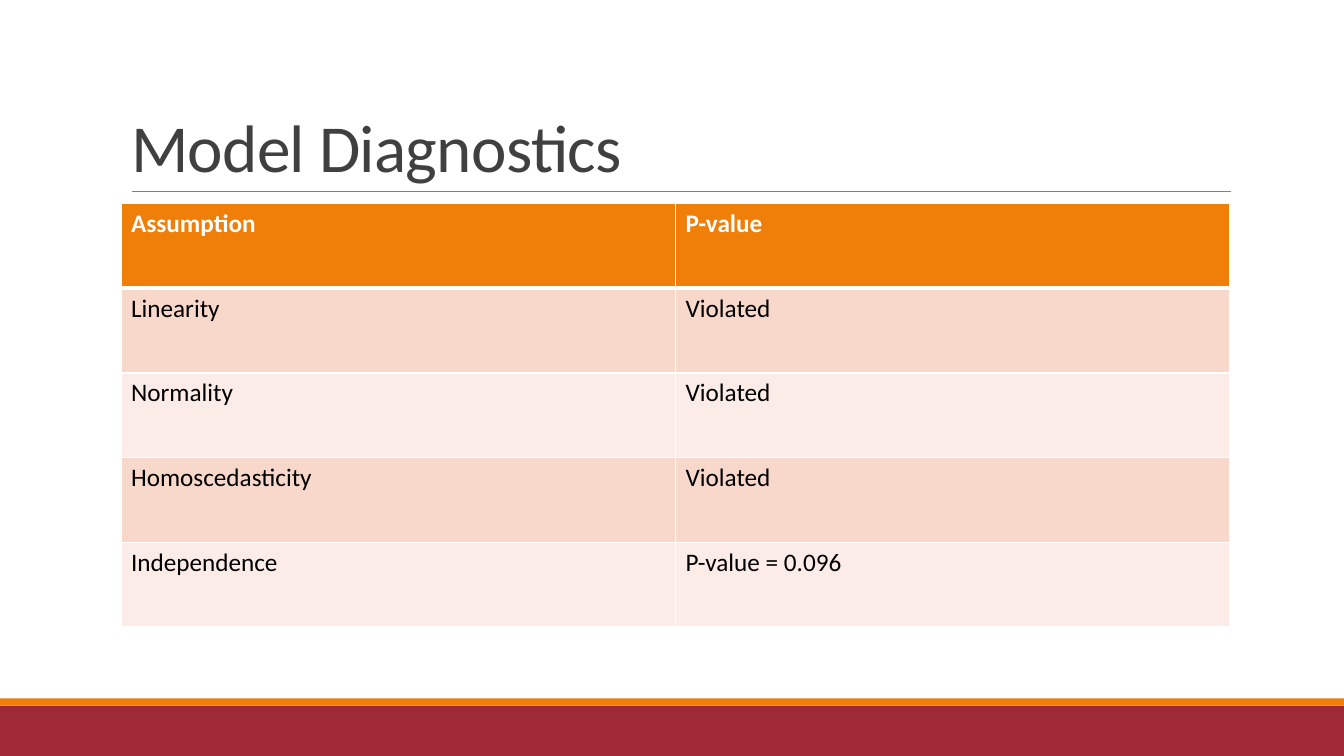
import pptx
import pptx.dml.color
import pptx.enum.shapes
import pptx.enum.text
import pptx.oxml.ns
import pptx.util
from lxml import etree

COLORS = {
    "red": "9F2936",
    "orange": "F07F09",
    "rule": "808080",
    "title": "404040",
    "white": "FFFFFF",
    "black": "000000",
    "band_dark": "F9D8CC",
    "band_light": "FCECE7",
}
FONT = "Calibri"
WIDTH, HEIGHT = 13.33, 7.5
LEFT, CONTENT_WIDTH = 1.2, 11
TABLE_TOP, ROW_HEIGHT = 2.02, 0.84
ROWS = [
    ("Assumption", "P-value"),
    ("Linearity", "Violated"),
    ("Normality", "Violated"),
    ("Homoscedasticity", "Violated"),
    ("Independence", "P-value = 0.096"),
]


def inches(*lengths):
    return [pptx.util.Inches(length) for length in lengths]


def color(name):
    return pptx.dml.color.RGBColor.from_string(COLORS[name])


def fill_solid(item, name):
    item.fill.solid()
    item.fill.fore_color.rgb = color(name)


def set_font(paragraph, size, name, bold=False):
    paragraph.font.name = FONT
    paragraph.font.size = pptx.util.Pt(size)
    paragraph.font.bold = bold
    paragraph.font.color.rgb = color(name)


def add_band(slide, top, height, name):
    band = slide.shapes.add_shape(
        pptx.enum.shapes.MSO_SHAPE.RECTANGLE, *inches(0, top, WIDTH, height))
    band.shadow.inherit = False
    fill_solid(band, name)
    band.line.fill.background()


def add_rule(slide, left, right, top):
    rule = slide.shapes.add_connector(
        pptx.enum.shapes.MSO_CONNECTOR.STRAIGHT, *inches(left, top, right, top))
    rule.line.color.rgb = color("rule")
    rule.line.width = pptx.util.Pt(0.5)
    etree.SubElement(rule._element.spPr, pptx.oxml.ns.qn("a:effectLst"))


def set_title(slide, text):
    title = slide.shapes.title
    title.left, title.top, title.width, title.height = inches(
        LEFT, 0.31, CONTENT_WIDTH, 1.59)
    frame = title.text_frame
    frame.text = text
    frame.word_wrap = True
    frame.auto_size = pptx.enum.text.MSO_AUTO_SIZE.NONE
    frame.vertical_anchor = pptx.enum.text.MSO_ANCHOR.BOTTOM
    paragraph = frame.paragraphs[0]
    paragraph.alignment = pptx.enum.text.PP_ALIGN.LEFT
    paragraph.line_spacing = 0.85
    set_font(paragraph, 48, "title")
    paragraph.runs[0].font._element.set("spc", "-50")


def set_borders(cell, top, bottom):
    properties = cell._tc.get_or_add_tcPr()
    for side, width in (("L", 1), ("R", 1), ("T", top), ("B", bottom)):
        line = etree.SubElement(
            properties, pptx.oxml.ns.qn(f"a:ln{side}"), w=str(pptx.util.Pt(width)))
        fill = etree.SubElement(line, pptx.oxml.ns.qn("a:solidFill"))
        etree.SubElement(fill, pptx.oxml.ns.qn("a:srgbClr"), val=COLORS["white"])


def add_diagnostics_table(slide):
    table = slide.shapes.add_table(
        len(ROWS), len(ROWS[0]),
        *inches(LEFT, TABLE_TOP, CONTENT_WIDTH, ROW_HEIGHT * len(ROWS))).table
    for row, texts in enumerate(ROWS):
        header = row == 0
        band = "orange" if header else "band_dark" if row % 2 else "band_light"
        for column, text in enumerate(texts):
            cell = table.cell(row, column)
            cell.text = text
            set_font(cell.text_frame.paragraphs[0], 18,
                     "white" if header else "black", header)
            set_borders(cell, 3 if row == 1 else 1, 3 if header else 1)
            fill_solid(cell, band)


def main():
    presentation = pptx.Presentation()
    presentation.slide_width, presentation.slide_height = inches(WIDTH, HEIGHT)
    slide = presentation.slides.add_slide(presentation.slide_layouts[5])
    add_band(slide, 7, 0.5, "red")
    add_band(slide, 6.93, 0.07, "orange")
    add_rule(slide, 1.31, 12.21, 1.9)
    set_title(slide, "Model Diagnostics")
    add_diagnostics_table(slide)
    presentation.save("out.pptx")


if __name__ == "__main__":
    main()
